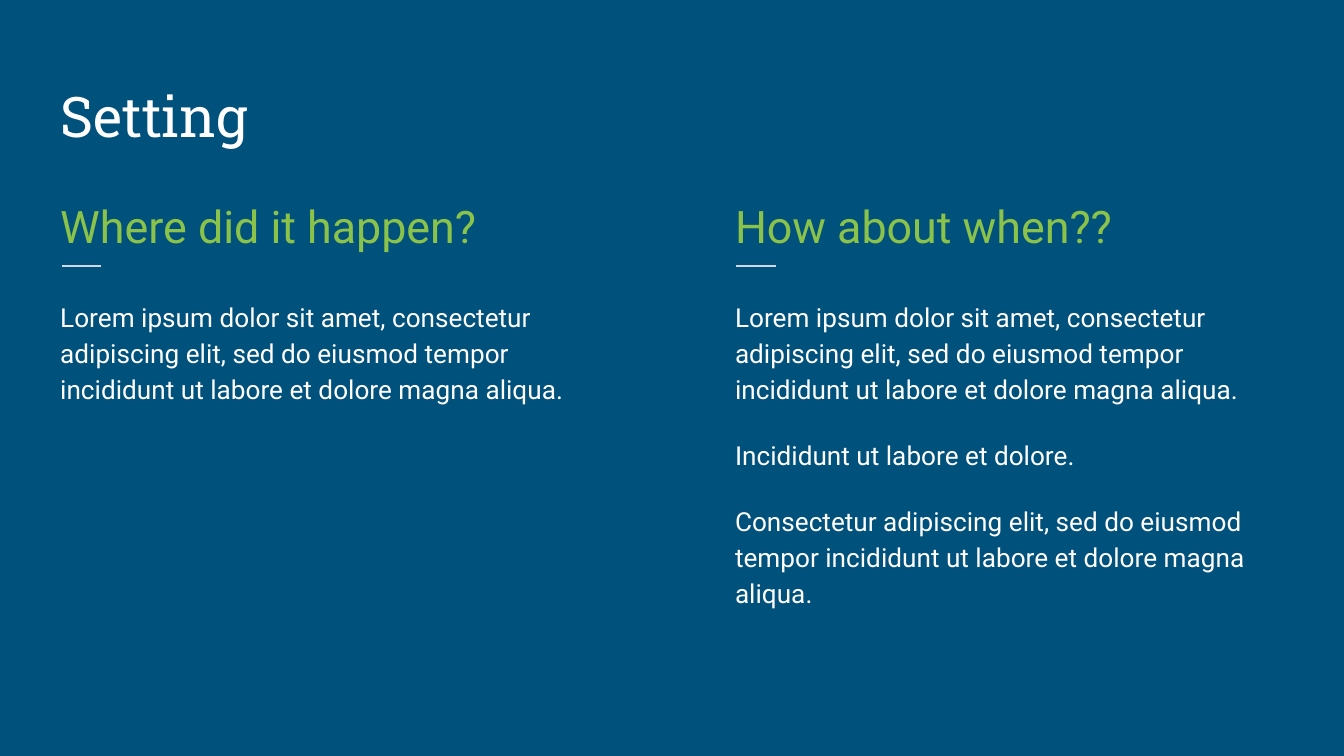
from pptx import Presentation
from pptx.dml.color import RGBColor as Rgb
from pptx.enum.shapes import MSO_CONNECTOR as Link
from pptx.enum.text import MSO_ANCHOR as Anchor, MSO_AUTO_SIZE as Fit, PP_ALIGN as Align
from pptx.oxml.ns import qn
from pptx.util import Pt
from lxml.etree import SubElement as Sub

PX = 9525
HUES = {"back": "00517C", "text": "FFFFFF", "head": "8BC34A", "rule": "CFD8DC"}
LOREM = ("Lorem ipsum dolor sit amet, consectetur adipiscing elit, sed do eiusmod "
         "tempor incididunt ut labore et dolore magna aliqua.")
COLS = [
    ("Where did it happen?", [LOREM]),
    ("How about when??", [
        LOREM,
        "Incididunt ut labore et dolore.",
        "Consectetur adipiscing elit, sed do eiusmod tempor incididunt ut labore "
        "et dolore magna aliqua.",
    ]),
]


def hue(name):
    """Return the named colour."""
    return Rgb.from_string(HUES[name])


def px(*nums):
    """Turn px into EMU."""
    return [n * PX for n in nums]


def style(shape, lines, size, tint, font="Roboto", anchor=Anchor.TOP, lead=1.15, after=16):
    """Fill a shape with left-aligned paragraphs in one style."""
    frame = shape.text_frame
    frame.text = "\n".join(lines)
    frame.word_wrap = True
    frame.auto_size = Fit.NONE
    frame.vertical_anchor = anchor
    frame.margin_left = frame.margin_right = 10 * PX
    frame.margin_top = frame.margin_bottom = 10 * PX
    for para in frame.paragraphs:
        para.alignment = Align.LEFT
        para.line_spacing = lead
        para.space_before = Pt(0)
        para.space_after = Pt(after)
        for run in para.runs:
            run.font.name = font
            run.font.size = Pt(size)
            run.font.color.rgb = hue(tint)


def title(slide, box, text):
    """Place the slide title in its box."""
    shape = slide.shapes.title
    shape.left, shape.top, shape.width, shape.height = px(*box)
    style(shape, [text], 30, "text", "Roboto Slab", Anchor.BOTTOM, 1.0, 0)


def column(slide, box, head, lines):
    """Place a heading, a short rule and body text in a box."""
    x, y, w, h = box
    shapes = slide.shapes
    style(shapes.add_textbox(*px(x, y, w, 55)), [head], 24, "head")
    rule = shapes.add_connector(Link.STRAIGHT, *px(x + 11, y + 64, x + 39, y + 64))
    rule.line.color.rgb = hue("rule")
    rule.line.width = Pt(0.75)
    Sub(rule.line._get_or_add_ln().getparent(), qn("a:effectLst"))
    style(shapes.add_textbox(*px(x, y + 76, w, h - 76)), lines, 14, "text")


def main():
    """Build the slide and save it."""
    deck = Presentation()
    deck.slide_width, deck.slide_height = px(960, 540)
    slide = deck.slides.add_slide(deck.slide_layouts[5])
    fill = slide.background.fill
    fill.solid()
    fill.fore_color.rgb = hue("back")
    title(slide, (33, 39, 895, 77), "Setting")
    for i, (head, lines) in enumerate(COLS):
        column(slide, (33 + 482 * i, 126, 404, 365), head, lines)
    deck.save("out.pptx")


if __name__ == "__main__":
    main()
